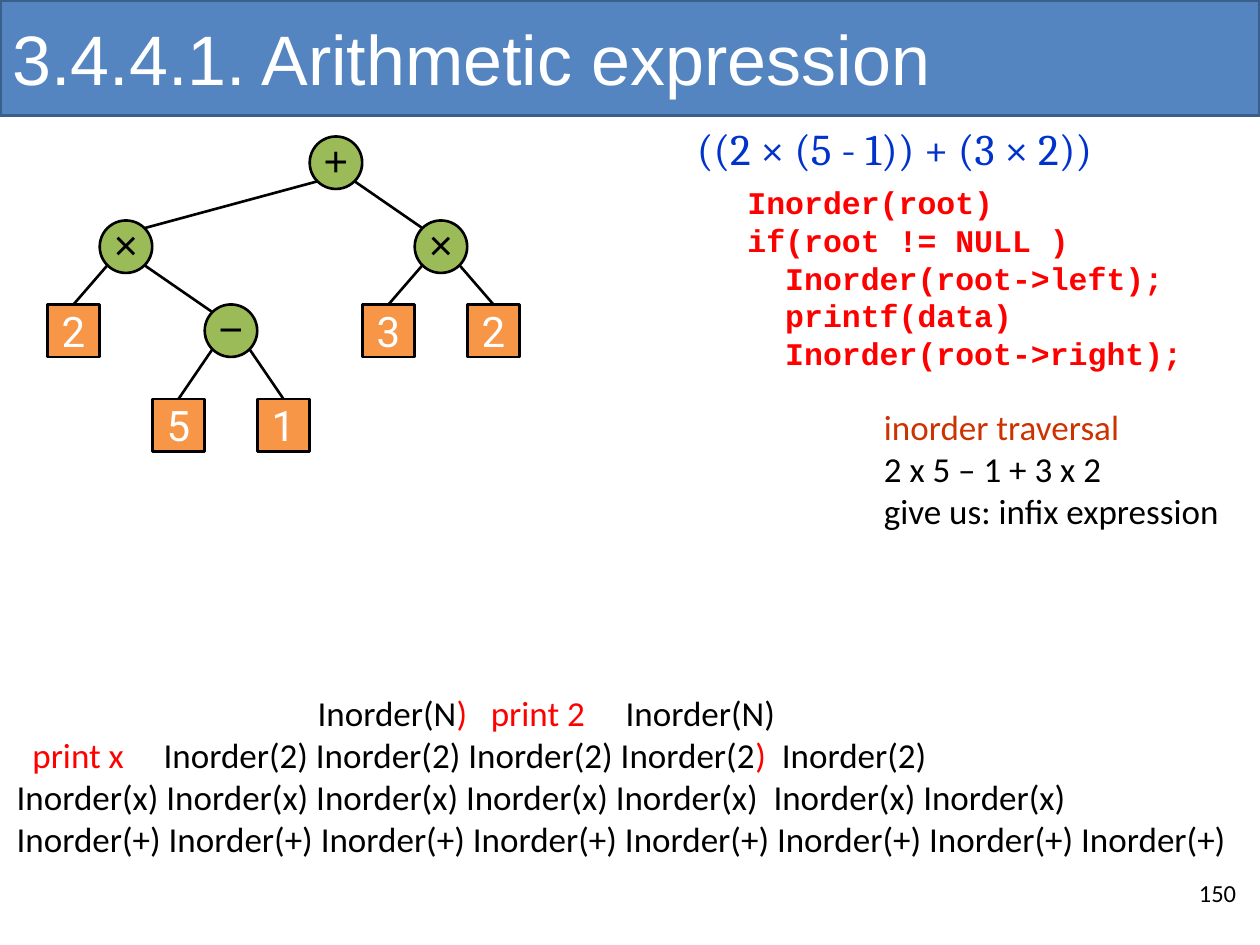
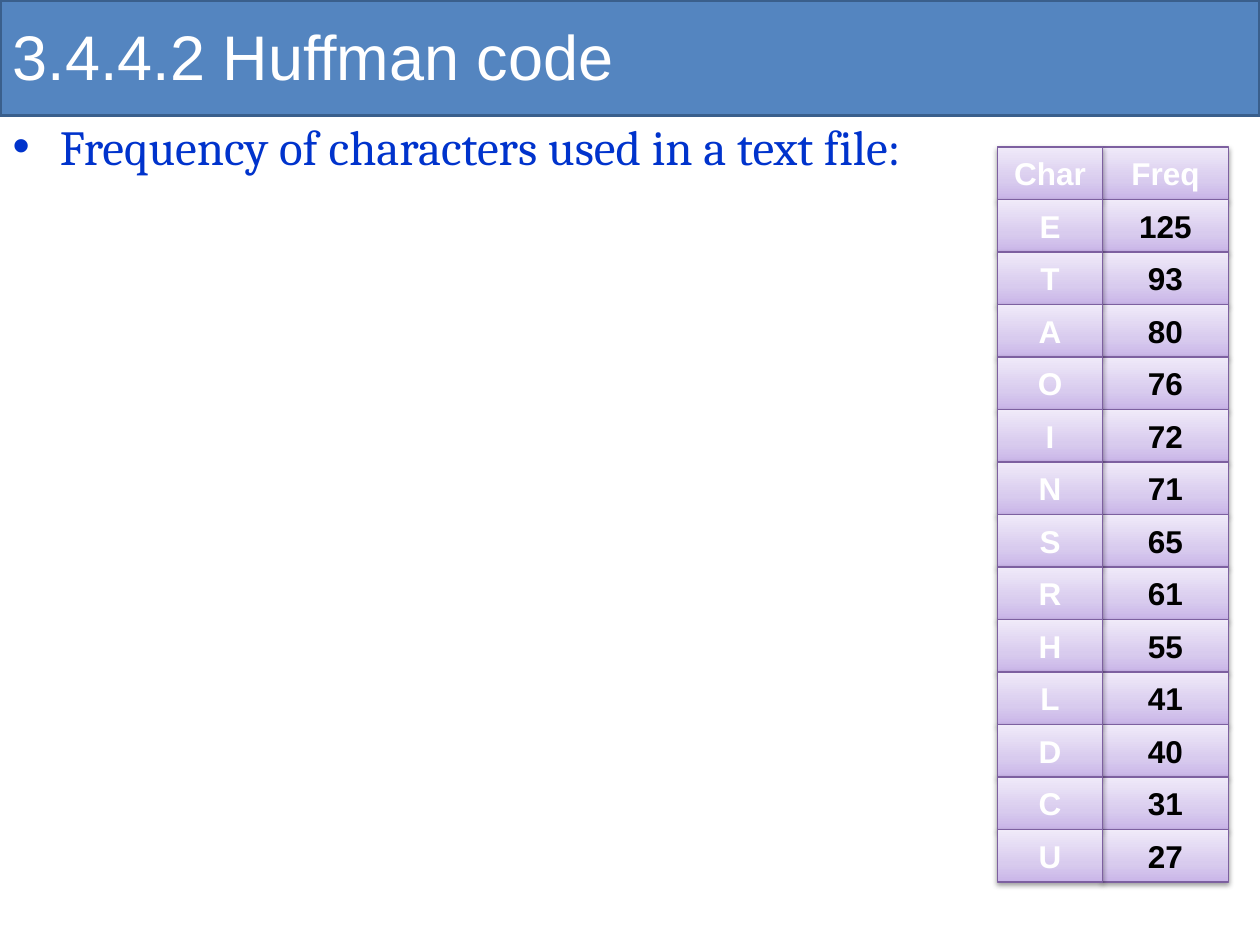
from copy import deepcopy
from itertools import count

from lxml import etree
from pptx import Presentation
from pptx.dml.color import RGBColor
from pptx.enum.shapes import MSO_CONNECTOR, MSO_SHAPE
from pptx.enum.text import MSO_ANCHOR, MSO_AUTO_SIZE, PP_ALIGN
from pptx.oxml.ns import qn
from pptx.util import Pt

BLACK = RGBColor(0x00, 0x00, 0x00)
WHITE = RGBColor(0xFF, 0xFF, 0xFF)
RED = RGBColor(0xFF, 0x00, 0x00)
RUST = RGBColor(0xCC, 0x33, 0x00)
BODY_BLUE = RGBColor(0x00, 0x33, 0xCC)
BAND_FILL = RGBColor(0x54, 0x85, 0xC0)
BAND_LINE = RGBColor(0x3A, 0x5F, 0x8C)
OPERATOR_GREEN = RGBColor(0x9B, 0xBB, 0x59)
OPERAND_ORANGE = RGBColor(0xF7, 0x96, 0x46)
LILAC_DARK = RGBColor(0xC9, 0xB5, 0xE8)
LILAC_MEDIUM = RGBColor(0xD8, 0xCB, 0xEE)
LILAC_LIGHT = RGBColor(0xF0, 0xEA, 0xF9)
GRID_PURPLE = RGBColor(0x7D, 0x60, 0xA0)

RECTANGLE, OVAL = MSO_SHAPE.RECTANGLE, MSO_SHAPE.OVAL
STRAIGHT = MSO_CONNECTOR.STRAIGHT
MIDDLE = MSO_ANCHOR.MIDDLE
LEFT, CENTER = PP_ALIGN.LEFT, PP_ALIGN.CENTER
NO_AUTOFIT = MSO_AUTO_SIZE.NONE

SLIDE_WIDTH, SLIDE_HEIGHT = 720, 540
BAND_HEIGHT = 66
NODE = 30
LEVEL_TOPS = (0, 48, 96, 150)
LILAC_STOPS = ((0, LILAC_DARK), (0.35, LILAC_MEDIUM), (1, LILAC_LIGHT))

EXPRESSION = ("+", ("×", "2", ("−", "5", "1")), ("×", "3", "2"))
INORDER_CODE = ["Inorder(root)", "if(root != NULL )", "Inorder(root->left);",
                "printf(data)", "Inorder(root->right);"]
CALL_STACK = [
    [("\tInorder(N", BLACK), (")\tprint 2\t", RED), ("Inorder(N)", BLACK)],
    [("\tprint x\t", RED), (" ".join(["Inorder(2)"] * 4)[:-1], BLACK),
     (")  ", RED), ("Inorder(2)", BLACK)],
    [("Inorder(x) Inorder(x) Inorder(x) Inorder(x) Inorder(x)  Inorder(x) Inorder(x)", BLACK)],
    [(" ".join(["Inorder(+)"] * 8), BLACK)],
]
CALL_STACK_TABS = {0: (172, 271, 348), 1: (9, 84)}
FREQUENCIES = [("Char", "Freq"), ("E", 125), ("T", 93), ("A", 80), ("O", 76), ("I", 72),
               ("N", 71), ("S", 65), ("R", 61), ("H", 55), ("L", 41), ("D", 40),
               ("C", 31), ("U", 27)]


def place(shape, box):
    shape.left, shape.top, shape.width, shape.height = map(Pt, box)


def style(paragraph, font, size, color=None, bold=False):
    for run in paragraph.runs:
        run.font.name, run.font.size, run.font.bold = font, Pt(size), bold
        if color is not None:
            run.font.color.rgb = color


def outline(shape, color, width):
    shape.line.color.rgb = color
    shape.line.width = Pt(width)


def paint(shape, fill, line, width):
    shape.shadow.inherit = False
    shape.fill.solid()
    shape.fill.fore_color.rgb = fill
    outline(shape, line, width)


def label(shape, text, font, size, color, bold=False):
    """Centre one unwrapped line of text in a shape and return its frame."""
    frame = shape.text_frame
    frame.text = text
    frame.word_wrap = False
    frame.vertical_anchor = MIDDLE
    frame.paragraphs[0].alignment = CENTER
    style(frame.paragraphs[0], font, size, color, bold)
    return frame


def write_lines(slide, box, lines, font, size, bold=False):
    """Add a text box of lines, each a list of (text, colour), and return its paragraphs."""
    frame = slide.shapes.add_textbox(*map(Pt, box)).text_frame
    frame.word_wrap = True
    for _ in lines[1:]:
        frame.add_paragraph()
    for paragraph, pieces in zip(frame.paragraphs, lines):
        for text, color in pieces:
            run = paragraph.add_run()
            run.text = text
            run.font.color.rgb = color
        style(paragraph, font, size, bold=bold)
    return frame.paragraphs


def set_indent(paragraph, left):
    properties = paragraph._p.get_or_add_pPr()
    properties.set("marL", str(Pt(left)))
    properties.set("indent", "0")
    return properties


def set_tabs(paragraph, stops):
    tab_list = etree.SubElement(paragraph._p.get_or_add_pPr(), qn("a:tabLst"))
    for stop in stops:
        etree.SubElement(tab_list, qn("a:tab"), pos=str(Pt(stop)), algn="l")


def add_master_band(prs, slide):
    """Put the title band behind everything on the slide master."""
    band = slide.shapes.add_shape(RECTANGLE, 0, 0, Pt(SLIDE_WIDTH), Pt(BAND_HEIGHT))
    paint(band, BAND_FILL, BAND_LINE, 2)
    band.element.nvSpPr.cNvPr.id = 20
    prs.slide_master.shapes.element.insert(2, band.element)


def fill_placeholder(placeholder, box, text, font, size, color):
    place(placeholder, box)
    frame = placeholder.text_frame
    frame.text = text
    frame.auto_size = NO_AUTOFIT
    paragraph = frame.paragraphs[0]
    paragraph.alignment = LEFT
    style(paragraph, font, size, color)
    return paragraph


def add_content_slide(prs, title, title_box, title_size, body, body_box, body_size):
    """Add a slide with its title and body, and return it with the body paragraph."""
    slide = prs.slides.add_slide(prs.slide_layouts[1])
    fill_placeholder(slide.shapes.title, title_box, title, "Arial", title_size, WHITE)
    slide.shapes.title.text_frame.vertical_anchor = MIDDLE
    paragraph = fill_placeholder(slide.placeholders[1], body_box, body,
                                 "Cambria", body_size, BODY_BLUE)
    return slide, paragraph


def add_node(slide, symbol, left, top, is_operator):
    node = slide.shapes.add_shape(OVAL if is_operator else RECTANGLE,
                                  Pt(left), Pt(top), Pt(NODE), Pt(NODE))
    paint(node, OPERATOR_GREEN if is_operator else OPERAND_ORANGE, BLACK, 1.5)
    if is_operator:
        frame = label(node, symbol, "Arial", 24, BLACK)
        frame.margin_left = frame.margin_right = frame.margin_top = 0
    else:
        label(node, symbol, "Roboto", 24, WHITE)
    return node


def add_branch(slide, parent, child, side, is_operator):
    """Join a parent circle to its child on the left (-1) or the right (1)."""
    diagonal = Pt(NODE / 2 * 0.71)
    middle = Pt(NODE / 2)
    child_x, child_y = child.left + middle, child.top
    if is_operator:
        child_x -= side * diagonal
        child_y += middle - diagonal
    branch = slide.shapes.add_connector(
        STRAIGHT, parent.left + middle + side * diagonal,
        parent.top + middle + diagonal, child_x, child_y)
    if not is_operator:
        branch.end_connect(child, 0)
    outline(branch, BLACK, 1.5)
    etree.SubElement(branch.element.spPr, qn("a:effectLst"))


def add_tree(slide, tree, left, top, columns, depth=0):
    """Draw a tree whose nodes take one column each, in inorder sequence."""
    is_operator = isinstance(tree, tuple)
    children = []
    if is_operator:
        children.append(add_tree(slide, tree[1], left, top, columns, depth + 1))
    node = add_node(slide, tree[0], left + NODE * next(columns),
                    top + LEVEL_TOPS[depth], is_operator)
    if is_operator:
        children.append(add_tree(slide, tree[2], left, top, columns, depth + 1))
        for child, subtree, side in zip(children, tree[1:], (-1, 1)):
            add_branch(slide, node, child, side, isinstance(subtree, tuple))
    return node


def add_inorder_code(slide, box):
    paragraphs = write_lines(slide, box, [[(line, RED)] for line in INORDER_CODE],
                             "Courier New", 18, bold=True)
    for paragraph in paragraphs:
        paragraph.line_spacing = Pt(21.6)
    for paragraph in paragraphs[2:]:
        set_indent(paragraph, 21.6)


def add_call_stack(slide, box):
    paragraphs = write_lines(slide, box, CALL_STACK, "Calibri", 20)
    for row, stops in CALL_STACK_TABS.items():
        set_tabs(paragraphs[row], stops)


def shade_lilac(cell):
    """Give a cell the lilac gradient, its purple outline and a soft shadow below."""
    cell.fill.gradient()
    cell.fill.gradient_angle = 90
    first_stop = cell.element.spPr.find(".//" + qn("a:gs"))
    first_stop.addnext(deepcopy(first_stop))
    for stop, (position, color) in zip(cell.fill.gradient_stops, LILAC_STOPS):
        stop.position = position
        stop.color.rgb = color
    outline(cell, GRID_PURPLE, 0.75)
    effects = etree.SubElement(cell.element.spPr, qn("a:effectLst"))
    shadow = etree.SubElement(effects, qn("a:outerShdw"), blurRad=str(Pt(3.1)),
                              dist=str(Pt(1.6)), dir="5400000", rotWithShape="0")
    tint = etree.SubElement(shadow, qn("a:srgbClr"), val=str(BLACK))
    etree.SubElement(tint, qn("a:alpha"), val="38000")


def add_frequency_column(slide, box, texts, color):
    left, top, width, row_height = box
    for row, text in enumerate(texts):
        cell = slide.shapes.add_shape(RECTANGLE, Pt(left), Pt(top + row * row_height),
                                      Pt(width), Pt(row_height))
        shade_lilac(cell)
        label(cell, str(text), "Arial", 18, color if row else WHITE, bold=True)


def add_frequency_grid(slide, left, top, char_width, freq_width, row_height):
    chars, freqs = zip(*FREQUENCIES)
    add_frequency_column(slide, (left + char_width, top, freq_width, row_height), freqs, BLACK)
    add_frequency_column(slide, (left, top, char_width, row_height), chars, WHITE)


def build_expression_slide(prs):
    slide, formula = add_content_slide(
        prs, "3.4.4.1. Arithmetic expression", (0, 0, SLIDE_WIDTH, BAND_HEIGHT), 40,
        "((2 × (5 - 1)) + (3 × 2))", (0, BAND_HEIGHT, SLIDE_WIDTH, 162), 25)
    etree.SubElement(set_indent(formula, 391), qn("a:buNone"))
    add_tree(slide, EXPRESSION, 27, 78, count())
    add_inorder_code(slide, (420, 101, 295, 118))
    write_lines(slide, (498, 228, 217, 80),
                [[("inorder traversal", RUST)], [("2 x 5 – 1 + 3 x 2", BLACK)],
                 [("give us: infix expression", BLACK)]], "Calibri", 20)
    add_call_stack(slide, (2.4, 391.5, 716, 104))
    write_lines(slide, (678, 498, 36, 29), [[("150", BLACK)]], "Calibri", 14)
    return slide


def build_huffman_slide(prs):
    slide, _ = add_content_slide(
        prs, "3.4.4.2 Huffman code", (0, 0, 630, 63), 36,
        "Frequency of characters used in a text file:", (0, 63, 705, 420), 28)
    add_frequency_grid(slide, 570, 84, 60, 72, 30)


def main():
    prs = Presentation()
    prs.slide_width, prs.slide_height = Pt(SLIDE_WIDTH), Pt(SLIDE_HEIGHT)
    add_master_band(prs, build_expression_slide(prs))
    build_huffman_slide(prs)
    prs.save("out.pptx")


if __name__ == "__main__":
    main()
